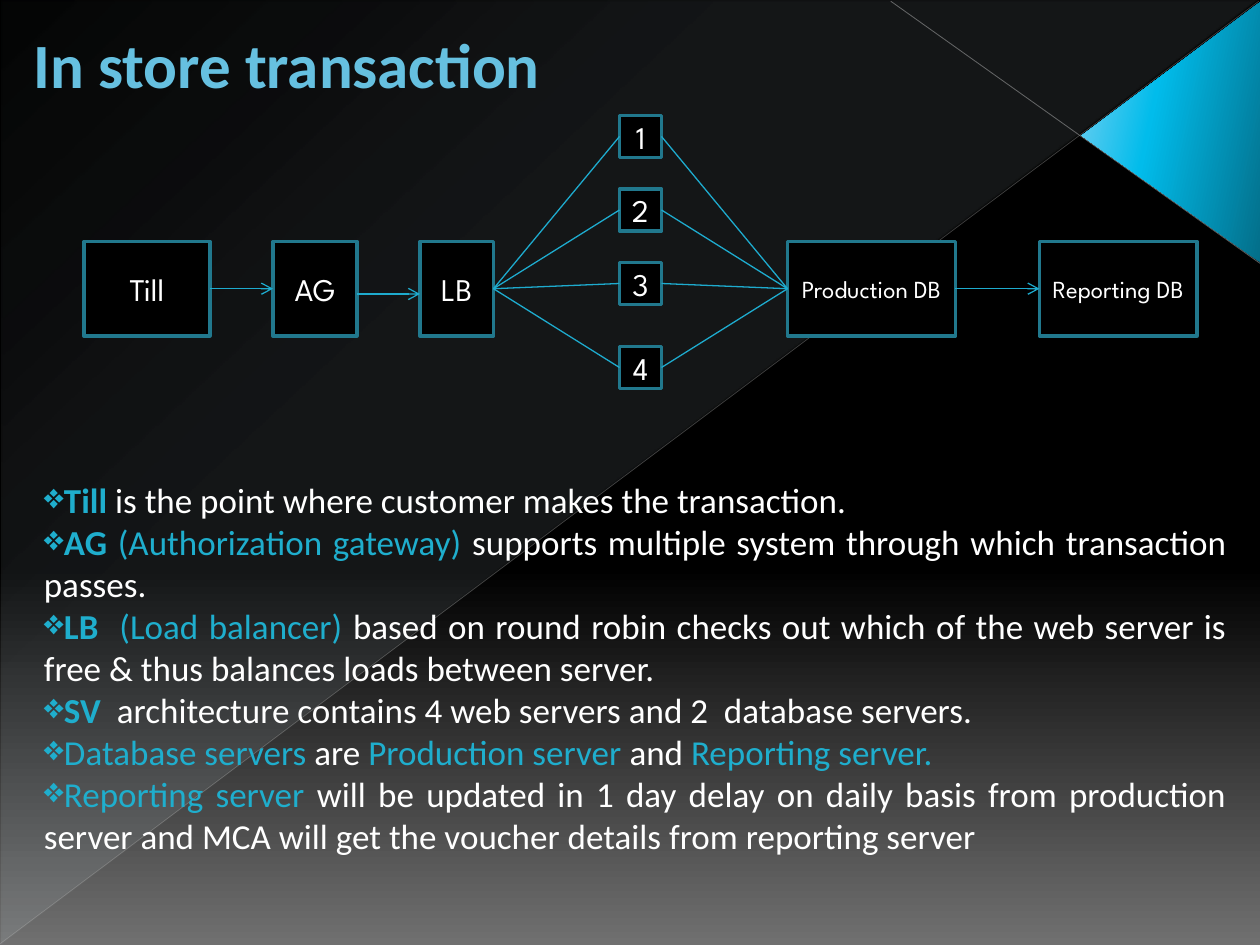
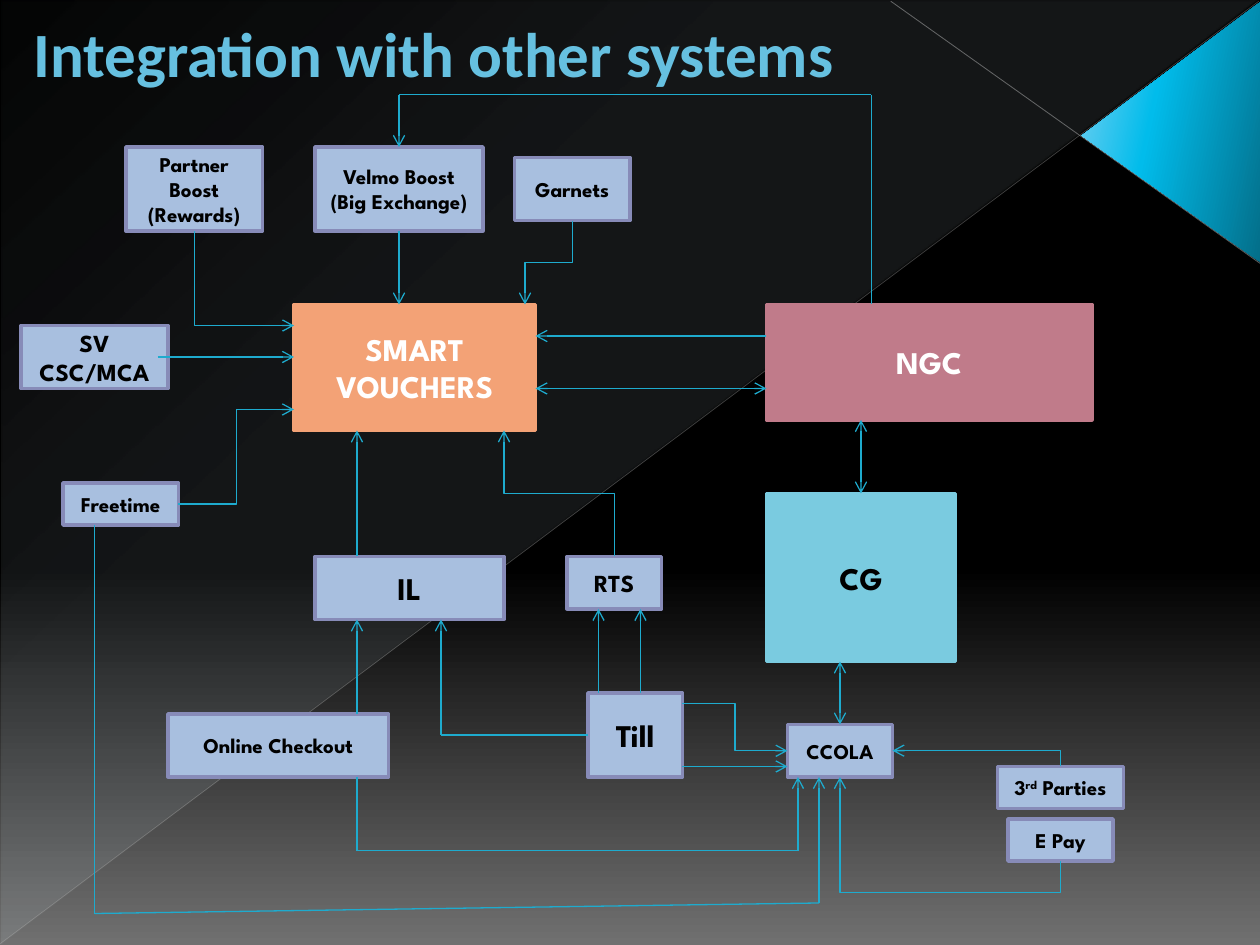
"""Builds two slides on store transactions and system integration."""
from itertools import pairwise

from lxml import etree
from pptx import Presentation
from pptx.dml.color import RGBColor
from pptx.enum import shapes, text
from pptx.oxml import ns
from pptx.util import Pt

BLACK = RGBColor(0x00, 0x00, 0x00)
WHITE = RGBColor(0xFF, 0xFF, 0xFF)
TITLE_BLUE = RGBColor(0x66, 0xC0, 0xE0)
TITLE_EDGE = RGBColor(0x1F, 0x70, 0x84)
ACCENT = RGBColor(0x1F, 0xAE, 0xCD)
ARROW = RGBColor(0x1E, 0xAB, 0xCE)
NODE_EDGE = RGBColor(0x21, 0x78, 0x8D)
SYSTEM_FILL = RGBColor(0xA8, 0xBF, 0xDF)
SYSTEM_EDGE = RGBColor(0x87, 0x8B, 0xB8)
ORANGE = RGBColor(0xF3, 0xA2, 0x76)
ROSE = RGBColor(0xC0, 0x7B, 0x8A)
AQUA = RGBColor(0x7A, 0xCB, 0xE0)
GREY = RGBColor(0x70, 0x70, 0x70)
ICE = RGBColor(0xDE, 0xF5, 0xFA)
DEEP_BLUE = RGBColor(0x03, 0x6E, 0x89)
BRIGHT_BLUE = RGBColor(0x01, 0xBC, 0xEB)
PALE_BLUE = RGBColor(0x7C, 0xD1, 0xF2)
RULE_LIGHT = RGBColor(0xC1, 0xC1, 0xC1)
RULE_DARK = RGBColor(0xB9, 0xB9, 0xB9)

BACKDROP = [(0, BLACK, 100), (60, BLACK, 100), (100, GREY, 100)]
VEIL = [(0, ICE, 10), (70, ICE, 8), (100, ICE, 1)]
CORNER = [(0, DEEP_BLUE, 100), (60, BRIGHT_BLUE, 100), (100, PALE_BLUE, 100)]
RULES = [((720, 150.5), (509, 0.7), RULE_LIGHT, 0.47, 45),
         ((0, 539.3), (719.3, 0.7), RULE_DARK, 0.39, 35)]

joints = {}


def add_box(page, label, size, frame, fill, edge, color, bold):
    """Add a labelled rectangle and record the middles of its sides."""
    left, top, width, height = frame
    box = page.shapes.add_shape(shapes.MSO_SHAPE.RECTANGLE, *map(Pt, frame))
    box.shadow.inherit = False
    box.fill.solid()
    box.fill.fore_color.rgb = fill
    box.line.color.rgb = edge
    box.line.width = Pt(2)
    box.text_frame.word_wrap = True
    box.text_frame.vertical_anchor = text.MSO_ANCHOR.MIDDLE
    for number, line in enumerate(label.split("\n")):
        para = box.text_frame.add_paragraph() if number else box.text_frame.paragraphs[0]
        para.alignment = text.PP_ALIGN.CENTER
        for index, part in enumerate(line.split("^")):
            span = para.add_run()
            span.text = part
            for name, value in {"name": "League Spartan", "size": Pt(size), "bold": bold}.items():
                setattr(span.font, name, value)
            span.font.color.rgb = color
            if index % 2:
                span.font._element.set("baseline", "30000")
    middle, centre = left + width / 2, top + height / 2
    sides = [(middle, top), (left, centre), (middle, top + height), (left + width, centre)]
    for site, point in enumerate(sides):
        joints[page.slide_id, point] = box, site


def connect(page, start, end, arrows=(), color=ARROW, width=0.75, kind="STRAIGHT"):
    """Add a line, joined to a box where it meets the middle of a side."""
    line = page.shapes.add_connector(shapes.MSO_CONNECTOR[kind], *map(Pt, start + end))
    if kind == "STRAIGHT":
        for point, join in ((start, line.begin_connect), (end, line.end_connect)):
            if (page.slide_id, point) in joints:
                join(*joints[page.slide_id, point])
    line.line.color.rgb = color
    line.line.width = Pt(width)
    for arrow in arrows:
        etree.SubElement(line.line._get_or_add_ln(), ns.qn("a:" + arrow), type="arrow")
    etree.SubElement(line.element.spPr, ns.qn("a:effectLst"))
    return line


deck = Presentation()
deck.slide_width, deck.slide_height = Pt(720), Pt(540)
pages = []

for title, frame in [("In store transaction", (12, 12, 312, 48)),
                     ("Integration with other systems", (12, 12, 516, 36))]:
    page = deck.slides.add_slide(deck.slide_layouts[6])
    pages.append(page)
    veil = page.shapes.add_shape(shapes.MSO_SHAPE.RIGHT_TRIANGLE, *map(Pt, (0.7, 0.7, 718.6, 538.6)))
    corner = page.shapes.add_shape(shapes.MSO_SHAPE.ISOSCELES_TRIANGLE, *map(Pt, (594.7, 24.5, 149, 102.2)))
    corner.rotation = 90
    corner.adjustments[0] = 0.513
    for triangle in (veil, corner):
        triangle.shadow.inherit = False
        triangle.line.fill.background()
        triangle.element.spPr.xfrm.set("flipV", "1")
    page.background.fill.gradient()
    veil.fill.gradient()
    corner.fill.gradient()
    for owner, stops, angle in [(page.element.find(".//" + ns.qn("p:bg")), BACKDROP, 90),
                                (veil.element, VEIL, 133), (corner.element, CORNER, 258)]:
        gradient = owner.find(".//" + ns.qn("a:gradFill"))
        gradient.find(ns.qn("a:lin")).set("ang", str(angle * 60000))
        stop_list = gradient.find(ns.qn("a:gsLst"))
        for old in list(stop_list):
            stop_list.remove(old)
        for position, color, opacity in stops:
            stop = etree.SubElement(stop_list, ns.qn("a:gs"), pos=str(position * 1000))
            paint = etree.SubElement(stop, ns.qn("a:srgbClr"), val=str(color))
            etree.SubElement(paint, ns.qn("a:alpha"), val=str(opacity * 1000))
    for start, end, color, width, opacity in RULES:
        rule = connect(page, start, end, (), color, width)
        paint = rule.element.spPr.find(".//" + ns.qn("a:srgbClr"))
        etree.SubElement(paint, ns.qn("a:alpha"), val=str(opacity * 1000))

    heading = page.shapes.add_textbox(*map(Pt, frame)).text_frame
    heading.word_wrap = True
    heading.vertical_anchor = text.MSO_ANCHOR.MIDDLE
    span = heading.paragraphs[0].add_run()
    span.text = title
    for name, value in {"name": "Calibri", "size": Pt(36), "bold": True}.items():
        setattr(span.font, name, value)
    span.font.color.rgb = TITLE_BLUE
    outline = etree.Element(ns.qn("a:ln"), w=str(Pt(0.5)))
    paint = etree.SubElement(outline, ns.qn("a:solidFill"))
    etree.SubElement(paint, ns.qn("a:srgbClr"), val=str(TITLE_EDGE))
    span.font._element.insert(0, outline)

store, systems = pages

for label, size, left, width in [("Till", 18, 48, 72), ("AG", 18, 156, 48), ("LB", 18, 240, 42),
                                 ("Production DB", 14, 450, 96), ("Reporting DB", 14, 594, 90)]:
    add_box(store, label, size, (left, 138, width, 54), BLACK, NODE_EDGE, WHITE, False)
SERVER_TOPS = [66, 108, 150, 198]
for number, top in enumerate(SERVER_TOPS, 1):
    add_box(store, str(number), 18, (354, top, 24, 24), BLACK, NODE_EDGE, WHITE, False)
for left, right, level in [(120, 156, 165), (204, 240, 168), (546, 594, 165)]:
    connect(store, (left, level), (right, level), ["tailEnd"])
for hub, server_side in [(282, 354), (450, 378)]:
    for top in SERVER_TOPS:
        connect(store, (hub, 165), (server_side, top + 12))

NOTES = [
    [("Till ", ACCENT, True), ("is the point where customer makes the transaction.", WHITE, False)],
    [("AG", ACCENT, True), (" (Authorization gateway) ", ACCENT, False),
     ("supports multiple system through which transaction passes.", WHITE, False)],
    [("LB  ", ACCENT, True), ("(Load balancer) ", ACCENT, False),
     ("based on round robin checks out which of the web server is free & thus balances loads "
      "between server.", WHITE, False)],
    [("SV  ", ACCENT, True),
     ("architecture contains 4 web servers and 2  database servers.", WHITE, False)],
    [("Database servers ", ACCENT, False), ("are ", WHITE, False),
     ("Production server ", ACCENT, False), ("and ", WHITE, False),
     ("Reporting server.", ACCENT, False)],
    [("Reporting server ", ACCENT, False),
     ("will be updated in 1 day delay on daily basis from production server and MCA will get "
      "the voucher details from reporting server", WHITE, False)],
]
notes = store.shapes.add_textbox(*map(Pt, (18, 270, 690, 250))).text_frame
notes.word_wrap = True
notes.auto_size = text.MSO_AUTO_SIZE.SHAPE_TO_FIT_TEXT
for number, parts in enumerate(NOTES):
    para = notes.add_paragraph() if number else notes.paragraphs[0]
    para.alignment = text.PP_ALIGN.JUSTIFY
    etree.SubElement(para._p.get_or_add_pPr(), ns.qn("a:buChar"), char="❖")
    for words, color, bold in parts:
        span = para.add_run()
        span.text = words
        for name, value in {"name": "Calibri", "size": Pt(20), "bold": bold}.items():
            setattr(span.font, name, value)
        span.font.color.rgb = color

for label, frame, fill, color in [("SMART VOUCHERS", (168, 174, 138, 72), ORANGE, WHITE),
                                  ("NGC", (438, 174, 186, 66), ROSE, WHITE),
                                  ("CG", (438, 282, 108, 96), AQUA, BLACK)]:
    add_box(systems, label, 18, frame, fill, fill, color, True)
for label, size, frame in [
    ("Partner Boost\n(Rewards)", 12, (72, 84, 78, 48)),
    ("Velmo Boost\n(Big Exchange)", 12, (180, 84, 96, 48)),
    ("Garnets", 12, (294, 90, 66, 36)),
    ("SV CSC/MCA", 14, (12, 186, 84, 36)),
    ("Freetime", 12, (36, 276, 66, 24)),
    ("IL", 18, (180, 318, 108, 36)),
    ("Online Checkout", 12, (96, 408, 126, 36)),
    ("RTS", 14, (324, 318, 54, 30)),
    ("Till", 18, (336, 396, 54, 48)),
    ("CCOLA", 12, (450, 414, 60, 30)),
    ("E Pay", 12, (576, 468, 60, 24)),
    ("3^rd^ Parties", 12, (570, 438, 72, 24)),
]:
    add_box(systems, label, size, frame, SYSTEM_FILL, SYSTEM_EDGE, BLACK, True)

for start, end in [((306, 222), (438, 222)), ((480, 378), (480, 414)), ((492, 282), (492, 240))]:
    connect(systems, start, end, ["headEnd", "tailEnd"])
for route in [
    [(90, 204), (168, 204)],
    [(204, 318), (204, 246)],
    [(204, 408), (204, 354)],
    [(228, 132), (228, 174)],
    [(438, 192), (306, 192)],
    [(390, 438), (450, 438)],
    [(342, 396), (342, 348)],
    [(366, 396), (366, 348)],
    [(498, 174), (498, 54), (228, 54), (228, 84)],
    [(336, 420), (252, 420), (252, 354)],
    [(204, 444), (204, 486), (456, 486), (456, 444)],
    [(54, 300), (54, 522), (468, 516), (468, 444)],
]:
    for start, end in pairwise(route):
        connect(systems, start, end, ["tailEnd"] if end == route[-1] else [])

for start, end, turn, flip, preset, bend in [
    ((327, 126), (300, 174), 90, None, "bentConnector3", 50000),
    ((111, 132), (168, 186), 270, "flipH", "bentConnector2", None),
    ((102, 288), (168, 234), 0, "flipV", "bentConnector3", 50000),
    ((390, 402), (450, 429), 0, None, "bentConnector3", 50000),
    ((351, 318), (288, 246), 270, "flipV", "bentConnector3", 50000),
    ((606, 438), (510, 429), 270, "flipV", "bentConnector2", None),
    ((606, 492), (480, 444), 90, "flipH", "bentConnector3", -37500),
]:
    width, height = abs(end[0] - start[0]), abs(end[1] - start[1])
    if turn:
        width, height = height, width
    left, top = (start[0] + end[0] - width) / 2, (start[1] + end[1] - height) / 2
    elbow = connect(systems, (left, top), (left + width, top + height), ["tailEnd"], kind="ELBOW")
    transform = elbow.element.spPr.xfrm
    transform.set("rot", str(turn * 60000))
    if flip:
        transform.set(flip, "1")
    geometry = elbow.element.spPr.find(ns.qn("a:prstGeom"))
    geometry.set("prst", preset)
    if bend is not None:
        etree.SubElement(geometry.find(ns.qn("a:avLst")), ns.qn("a:gd"), name="adj1", fmla=f"val {bend}")

deck.save("out.pptx")
